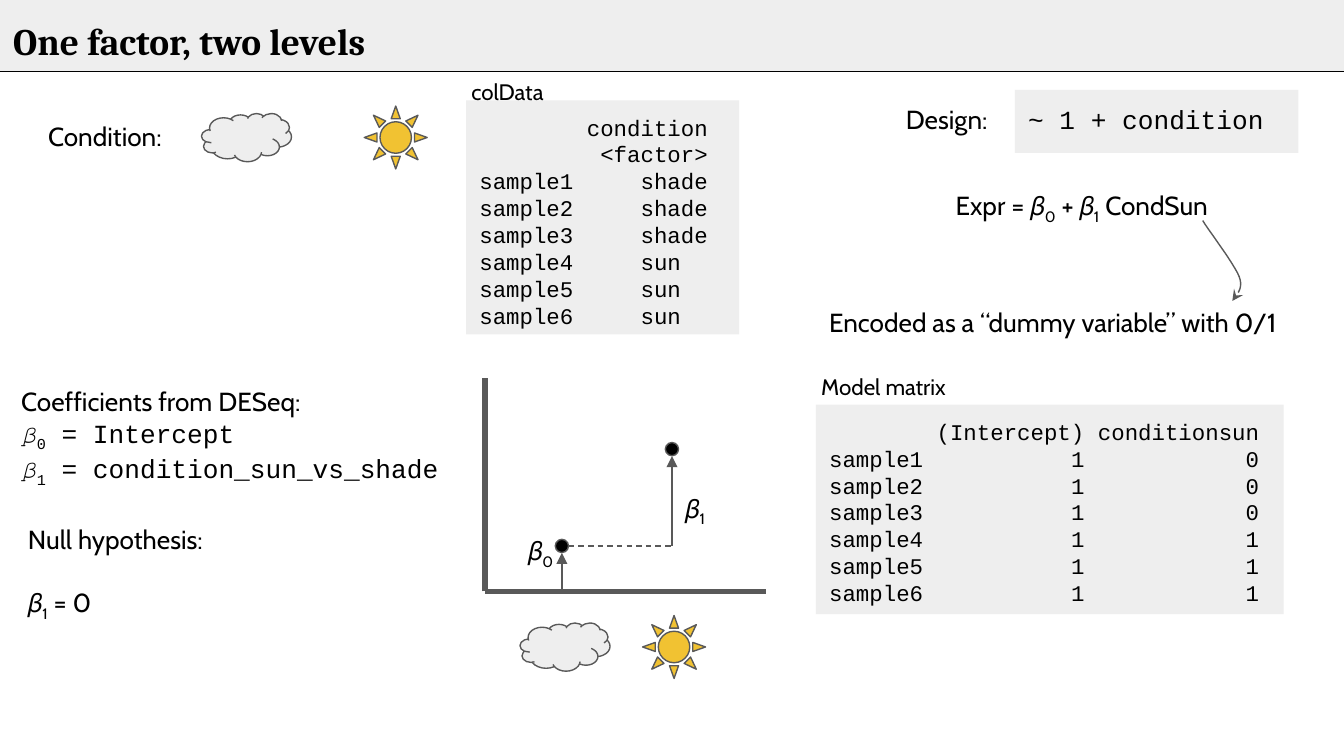
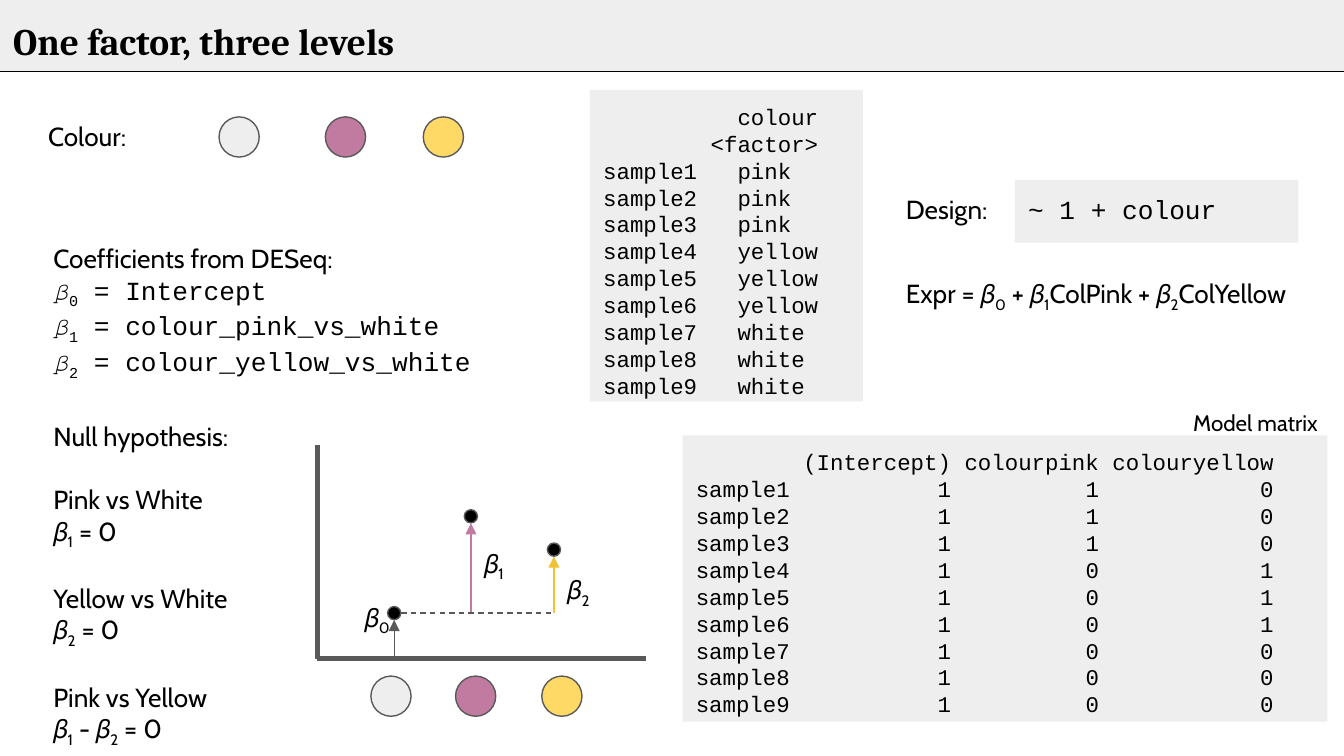
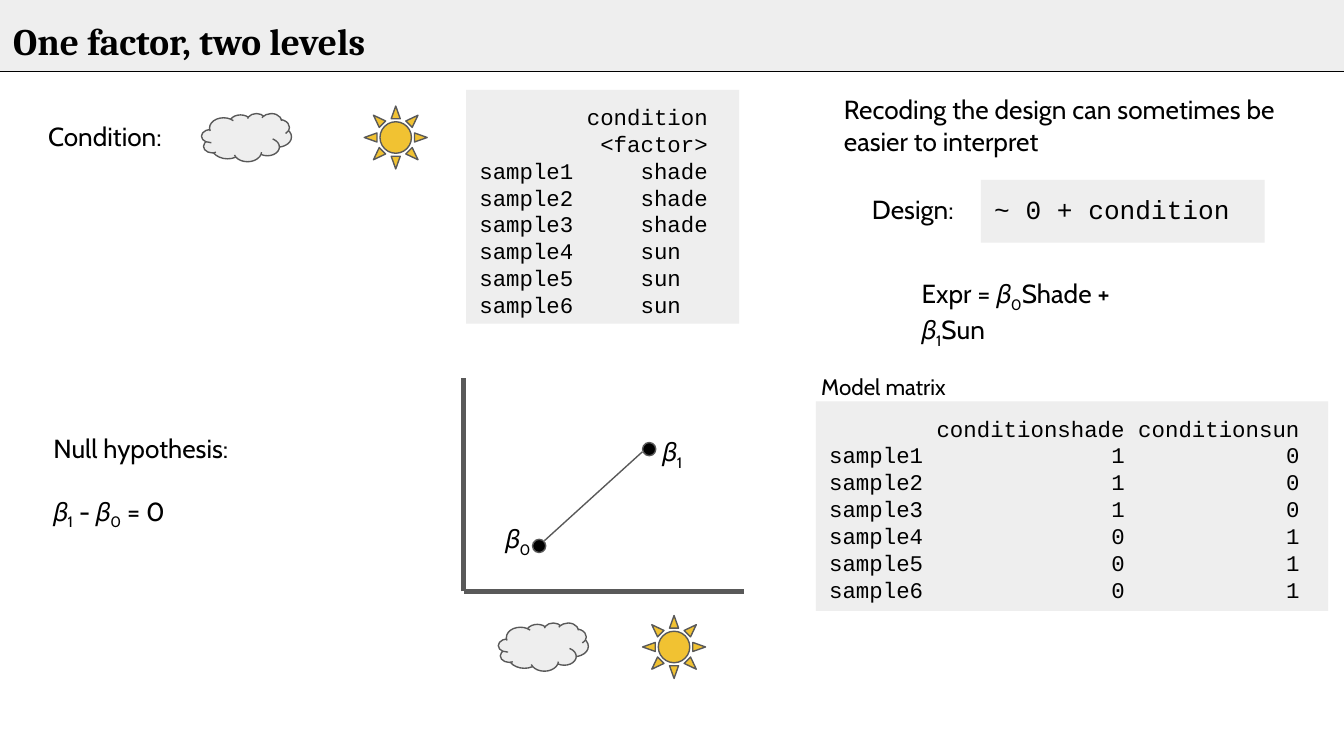
import dataclasses

import lxml.etree
import pptx
import pptx.dml.color
import pptx.enum.dml
import pptx.enum.shapes
import pptx.enum.text
import pptx.oxml.ns
import pptx.util

Cm, Pt = pptx.util.Cm, pptx.util.Pt
SHAPE = pptx.enum.shapes.MSO_SHAPE
BETA = "𝛽"


@dataclasses.dataclass(frozen=True)
class Style:
    face: str
    size: int
    bold: bool = False


@dataclasses.dataclass(frozen=True)
class Theme:
    ink: str = "000000"
    paper: str = "EEEEEE"
    grey: str = "595959"
    gold: str = "F1C232"
    pink: str = "C27BA0"
    yellow: str = "FFD966"
    title: Style = Style("Cambria", 20, True)
    body: Style = Style("Cabin", 14)
    small: Style = Style("Cabin", 12)
    code: Style = Style("Courier New", 14)
    print: Style = Style("Courier New", 12)
    inset: float = 0.25
    thin: float = 0.75
    thick: float = 3
    gap: int = 17


THEME = Theme()

# Shape, width, height and fill of each factor level
ICONS = {
    "shade": (SHAPE.CLOUD, 1.7, 0.91, THEME.paper),
    "sun": (SHAPE.SUN, 1.19, 1.19, THEME.gold),
    "white": (SHAPE.OVAL, 0.76, 0.76, THEME.paper),
    "pink": (SHAPE.OVAL, 0.76, 0.76, THEME.pink),
    "yellow": (SHAPE.OVAL, 0.76, 0.76, THEME.yellow),
}


def color(code):
    return pptx.dml.color.RGBColor.from_string(code)


def child(parent, tag, **attrs):
    return lxml.etree.SubElement(parent, pptx.oxml.ns.qn(tag), attrs)


# Text

def add_run(para, text, style, sub=False):
    run = para.add_run()
    run.text = text
    font = run.font
    font.size, font.bold = Pt(style.size), style.bold
    font.color.rgb = color(THEME.ink)
    font.name = style.face
    props = run.font._element
    for tag in ("a:ea", "a:cs"):
        child(props, tag, typeface=style.face)
    if sub:
        props.set("baseline", "-25000")


def write(frame, lines, style, gap=0):
    """Append lines to the frame; the digit after each beta is a subscript."""
    for i, line in enumerate(lines):
        para = frame.add_paragraph() if frame.text else frame.paragraphs[0]
        para.alignment = pptx.enum.text.PP_ALIGN.LEFT
        if gap and i == 0:
            para.space_before = Pt(gap)
        text, *terms = line.split(BETA)
        for term in terms:
            add_run(para, text + BETA, style)
            add_run(para, term[0], style, sub=True)
            text = term[1:]
        if text:
            add_run(para, text, style)


def set_frame(shape):
    frame = shape.text_frame
    frame.word_wrap = True
    frame.vertical_anchor = pptx.enum.text.MSO_ANCHOR.TOP
    frame.margin_left = frame.margin_right = Cm(THEME.inset)
    frame.margin_top = frame.margin_bottom = Cm(THEME.inset)
    return frame


def label(slide, box, lines, style=THEME.body):
    frame = set_frame(slide.shapes.add_textbox(*map(Cm, box)))
    write(frame, lines, style)
    return frame


# Shapes and lines

def shape(slide, kind, box, fill, edge=None):
    item = slide.shapes.add_shape(kind, *map(Cm, box))
    item.shadow.inherit = False
    item.fill.solid()
    item.fill.fore_color.rgb = color(fill)
    if edge:
        item.line.color.rgb = color(edge)
        item.line.width = Pt(THEME.thin)
    else:
        item.line.fill.background()
    return item


def disc(slide, kind, x, y, wide, high, fill):
    """Outlined shape centred on a point."""
    box = (x - wide / 2, y - high / 2, wide, high)
    return shape(slide, kind, box, fill, THEME.grey)


def panel(slide, box):
    return set_frame(shape(slide, SHAPE.RECTANGLE, box, THEME.paper))


def add_head(item, kind):
    child(item.element.spPr.find(pptx.oxml.ns.qn("a:ln")), "a:tailEnd", type=kind)


def line(slide, start, end, ink=THEME.grey, width=THEME.thin, dash=False, head=None):
    item = slide.shapes.add_connector(
        pptx.enum.shapes.MSO_CONNECTOR.STRAIGHT, *map(Cm, (*start, *end)))
    item.line.color.rgb = color(ink)
    item.line.width = Pt(width)
    if dash:
        item.line.dash_style = pptx.enum.dml.MSO_LINE.DASH
    if head:
        add_head(item, head)
    child(item.element.spPr, "a:effectLst")


def curve(slide, start, bends, steps=12):
    """Arrow along cubic Bezier bends, each two controls and an end."""
    points, first = [], start
    for bend in bends:
        knots = (first, *bend)
        for step in range(1, steps + 1):
            t = step / steps
            parts = ((1 - t) ** 3, 3 * t * (1 - t) ** 2, 3 * t * t * (1 - t), t ** 3)
            points.append(tuple(
                Cm(sum(p * k[axis] for p, k in zip(parts, knots))) for axis in (0, 1)))
        first = bend[-1]
    path = slide.shapes.build_freeform(*map(Cm, start))
    path.add_line_segments(points, close=False)
    item = path.convert_to_shape()
    item.shadow.inherit = False
    item.fill.background()
    item.line.color.rgb = color(THEME.grey)
    item.line.width = Pt(THEME.thin)
    add_head(item, "stealth")


# Regions

def header(slide, title):
    shape(slide, SHAPE.RECTANGLE, (0, 0, 25.4, 1.35), THEME.paper)
    line(slide, (0, 1.35), (25.4, 1.35), THEME.ink)
    label(slide, (0, 0.1, 23.67, 1.6), [title], THEME.title)


def levels(slide, y, spots):
    for name, x in spots.items():
        kind, wide, high, fill = ICONS[name]
        item = disc(slide, kind, x, y, wide, high, fill)
        if kind == SHAPE.SUN:
            item.adjustments[0] = 0.25


def design(slide, x, y, model):
    label(slide, (x, y, 2.31, 1.19), ["Design:"])
    write(panel(slide, (x + 2.31, y, 5.36, 1.19)), [model], THEME.code)


def caption(slide, x, y, text):
    label(slide, (x, y, 3, 1.45), [text], THEME.small)


def set_tabs(para, stops):
    """Stops are pairs of a column in characters and an alignment."""
    tabs = child(para._p.get_or_add_pPr(), "a:tabLst")
    for col, align in stops:
        child(tabs, "a:tab", pos=str(Pt(col * THEME.print.size * 0.6)), algn=align)


def samples(groups, size=3):
    """Text rows, with each group of values repeated for some samples."""
    rows = [group for group in groups for _ in range(size)]
    return ["\t".join((f"sample{i}", *map(str, row))) for i, row in enumerate(rows, 1)]


def matrix(slide, box, names, groups):
    frame = panel(slide, box)
    write(frame, ["\t" + "\t".join(names), *samples(groups)], THEME.print)
    col, stops = len("sample1"), []
    for name in names:
        col += 1 + len(name)
        stops.append((col, "r"))
    for para in frame.paragraphs:
        set_tabs(para, stops)


def factor(slide, box, name, values):
    """Sample sheet: heads end at one column, values start at another."""
    heads = [name, "<factor>"]
    frame = panel(slide, box)
    rows = samples([(value,) for value in values])
    write(frame, ["\t" + head for head in heads] + rows, THEME.print)
    end = len("sample1") + 1 + max(map(len, heads))
    start = end - max(map(len, values))
    for i, para in enumerate(frame.paragraphs):
        set_tabs(para, [(end, "r") if i < len(heads) else (start, "l")])


def coefs(slide, x, y, names):
    frame = label(slide, (x, y, 8.81, 4.04), ["Coefficients from DESeq:"])
    write(frame, [f"{BETA}{i} = {name}" for i, name in enumerate(names)], THEME.code)


def nulls(slide, box, groups):
    frame = label(slide, box, ["Null hypothesis:"])
    for group in groups:
        write(frame, group, THEME.body, THEME.gap)


def plot(slide, box, dots, inks=None):
    """Axes with dots (x, y, label shift), joined by rises in inks or by a line."""
    left, top, wide, high = box
    base = top + high
    edge = 0.13
    line(slide, (left, base), (left + wide, base), width=THEME.thick)
    line(slide, (left, base), (left, top), width=THEME.thick)
    spots = [(left + x, top + y) for x, y, _, _ in dots]
    (x0, y0), (x1, y1) = spots[0], spots[-1]
    if inks:
        for i, ((x, y), ink) in enumerate(zip(spots, inks)):
            foot = y0 if i else base
            line(slide, (x, foot), (x, y + edge), ink, head="triangle")
        line(slide, (x0 + edge, y0), (x1, y0), dash=True)
    else:
        line(slide, (x0 + 0.1, y0 - 0.1), (x1 - edge, y1 + 0.05))
    for i, ((x, y), (_, _, dx, dy)) in enumerate(zip(spots, dots)):
        disc(slide, SHAPE.OVAL, x, y, 0.25, 0.25, THEME.ink)
        label(slide, (x + dx, y + dy, 1.37, 1.19), [f"{BETA}{i}"])


# Slides

def condition(slide, sheet_y):
    """Parts that both slides on the sun and shade factor have."""
    header(slide, "One factor, two levels")
    label(slide, (0.66, 2.03, 3, 1.45), ["Condition:"])
    levels(slide, 2.6, {"shade": 4.66, "sun": 7.48})
    factor(slide, (8.81, sheet_y, 5.16, 4.42), "condition", ["shade", "sun"])
    caption(slide, 15.27, 6.81, "Model matrix")


def two_levels(slide):
    condition(slide, 1.9)
    caption(slide, 8.66, 1.22, "colData")
    design(slide, 16.87, 1.7, "~ 1 + condition")
    label(slide, (17.81, 3.33, 5.5, 1.19), ["Expr = 𝛽0 + 𝛽1 CondSun"])
    curve(slide, (22.73, 4.17), [
        ((22.83, 4.34), (23.32, 4.98), (23.42, 5.23)),
        ((23.52, 5.49), (23.32, 5.61), (23.29, 5.69)),
    ])
    label(slide, (15.42, 5.54, 9.2, 0.91), ["Encoded as a “dummy variable” with 0/1"])
    coefs(slide, 0.15, 7.04, ["Intercept", "condition_sun_vs_shade"])
    nulls(slide, (0.28, 9.65, 7.26, 2.62), [["𝛽1 = 0"]])
    plot(slide, (9.17, 7.14, 5.3, 4.04),
         [(1.45, 3.18, -0.89, -0.46), (3.53, 1.35, 0, 0.56)],
         [THEME.grey, THEME.grey])
    levels(slide, 12.23, {"shade": 10.68, "sun": 12.74})
    matrix(slide, (15.42, 7.65, 8.84, 3.96),
           ["(Intercept)", "conditionsun"], [(1, 0), (1, 1)])


def three_levels(slide):
    header(slide, "One factor, three levels")
    label(slide, (0.66, 2.03, 3, 1.45), ["Colour:"])
    levels(slide, 2.59, {"white": 4.52, "pink": 6.53, "yellow": 8.38})
    factor(slide, (11.15, 1.7, 5.16, 5.89), "colour", ["pink", "yellow", "white"])
    design(slide, 16.87, 3.4, "~ 1 + colour")
    label(slide, (16.87, 5, 8.41, 1.19), ["Expr = 𝛽0 + 𝛽1ColPink + 𝛽2ColYellow"])
    coefs(slide, 0.76, 4.34,
          ["Intercept", "colour_pink_vs_white", "colour_yellow_vs_white"])
    nulls(slide, (0.76, 7.7, 4.98, 6.27), [
        ["Pink vs White", "𝛽1 = 0"],
        ["Yellow vs White", "𝛽2 = 0"],
        ["Pink vs Yellow", "𝛽1 - 𝛽2 = 0"],
    ])
    plot(slide, (6, 8.41, 6.2, 4.04),
         [(1.45, 3.18, -0.81, -0.48), (2.9, 1.35, 0, 0.33), (4.47, 1.98, 0, 0.2)],
         [THEME.grey, THEME.pink, THEME.gold])
    levels(slide, 13.16, {"white": 7.39, "pink": 8.99, "yellow": 10.62})
    caption(slide, 22.3, 7.49, "Model matrix")
    matrix(slide, (12.9, 8.23, 12.19, 5.41),
           ["(Intercept)", "colourpink", "colouryellow"],
           [(1, 1, 0), (1, 0, 1), (1, 0, 0)])


def recoded(slide):
    condition(slide, 1.7)
    label(slide, (15.7, 1.52, 9.02, 1.68),
          ["Recoding the design can sometimes be easier to interpret"])
    design(slide, 16.23, 3.4, "~ 0 + condition")
    label(slide, (17.17, 5, 5.3, 1.19), ["Expr = 𝛽0Shade + 𝛽1Sun"])
    nulls(slide, (0.76, 7.92, 7.26, 3.78), [["𝛽1 - 𝛽0 = 0"]])
    plot(slide, (8.76, 7.14, 5.3, 4.04),
         [(1.43, 3.18, -0.89, -0.69), (3.51, 1.35, 0, -0.51)])
    levels(slide, 12.23, {"shade": 10.27, "sun": 12.74})
    matrix(slide, (15.42, 7.59, 9.68, 3.96),
           ["conditionshade", "conditionsun"], [(1, 0), (0, 1)])


def main():
    deck = pptx.Presentation()
    deck.slide_width, deck.slide_height = Cm(25.4), Cm(14.29)
    for build in (two_levels, three_levels, recoded):
        build(deck.slides.add_slide(deck.slide_layouts[6]))
    deck.save("out.pptx")


if __name__ == "__main__":
    main()
